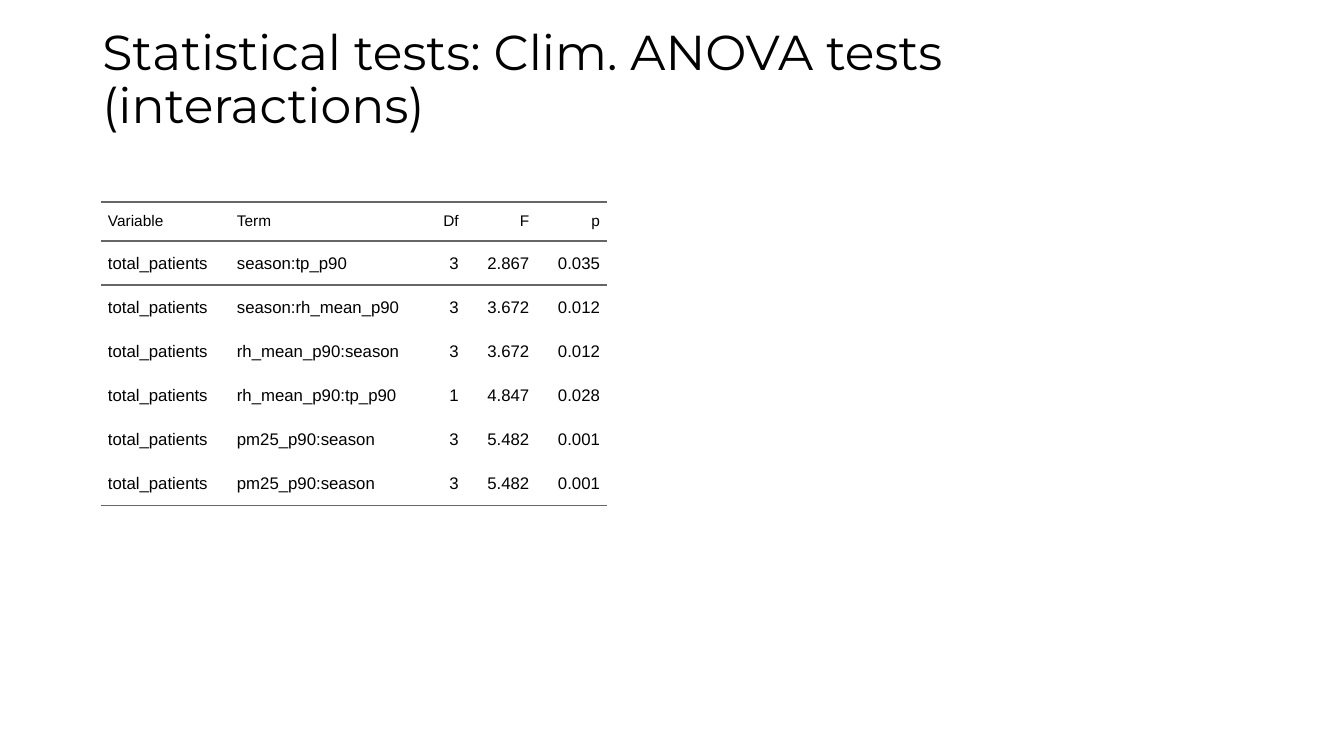
from lxml.etree import SubElement
from pptx import Presentation
from pptx.dml.color import RGBColor
from pptx.enum.text import MSO_ANCHOR as ANCHOR, PP_ALIGN as ALIGN
from pptx.oxml.ns import qn
from pptx.util import Cm, Pt

HEADER = ["Variable", "Term", "Df", "F", "p"]
TESTS = [
    ("season:tp_p90", "3", "2.867", "0.035"),
    ("season:rh_mean_p90", "3", "3.672", "0.012"),
    ("rh_mean_p90:season", "3", "3.672", "0.012"),
    ("rh_mean_p90:tp_p90", "1", "4.847", "0.028"),
    ("pm25_p90:season", "3", "5.482", "0.001"),
    ("pm25_p90:season", "3", "5.482", "0.001"),
]
COL_WIDTHS = [3.25, 4.83, 1.12, 1.78, 1.78]
HEADER_HEIGHT, ROW_HEIGHT = 1, 1.11
NO_STYLE = "{2D5ABB26-0587-4C30-8999-92F81FD0307C}"


def color(value):
    return RGBColor.from_string(value)


def set_format(target, values):
    for name, value in values.items():
        setattr(target, name, value)


class Deck:
    text_color = "000000"
    rule_color = "666666"
    title_font = {"name": "Montserrat", "size": Pt(35)}
    head_font = {"name": "Arial", "size": Pt(11)}
    body_font = {"name": "Arial", "size": Pt(12)}
    cell_format = {
        "margin_left": Cm(0.18),
        "margin_right": Cm(0.18),
        "margin_top": Cm(0.18),
        "margin_bottom": Cm(0.18),
        "vertical_anchor": ANCHOR.MIDDLE,
    }

    def __init__(self, width, height):
        self.prs = Presentation()
        set_format(self.prs, {"slide_width": Cm(width), "slide_height": Cm(height)})
        self.s = self.prs.slides.add_slide(self.prs.slide_layouts[6])

    def text(self, tf, words, font, **paragraph_format):
        p = tf.paragraphs[0]
        set_format(p, paragraph_format)
        r = p.add_run()
        r.text = words
        set_format(r.font, font)
        r.font.color.rgb = color(self.text_color)

    def title(self, words, left, top, width, height):
        sp = self.s.shapes.add_textbox(Cm(left), Cm(top), Cm(width), Cm(height))
        tf = sp.text_frame
        set_format(tf, {"word_wrap": True, "vertical_anchor": ANCHOR.MIDDLE})
        self.text(tf, words, self.title_font, line_spacing=0.9)

    def rule(self, cell, tag):
        ln = SubElement(cell._tc.get_or_add_tcPr(), qn(tag), w=str(Pt(1.5)))
        fill = SubElement(ln, qn("a:solidFill"))
        SubElement(fill, qn("a:srgbClr"), val=self.rule_color)

    def table(self, rows, left, top, widths, heights):
        frame = self.s.shapes.add_table(
            len(rows), len(widths), Cm(left), Cm(top), Cm(sum(widths)), Cm(sum(heights))
        )
        tbl = frame.table
        set_format(tbl, {"first_row": False, "horz_banding": False})
        tbl._tbl.tblPr.find(qn("a:tableStyleId")).text = NO_STYLE
        for column, width in zip(tbl.columns, widths):
            column.width = Cm(width)
        for row, height in zip(tbl.rows, heights):
            row.height = Cm(height)
        last = len(rows) - 1
        for i, values in enumerate(rows):
            for j, value in enumerate(values):
                cell = tbl.cell(i, j)
                set_format(cell, self.cell_format)
                font = self.body_font if i else self.head_font
                align = ALIGN.RIGHT if j > 1 else ALIGN.LEFT
                self.text(cell.text_frame, value, font, alignment=align)
                if i < 2:
                    self.rule(cell, "a:lnT")
                if i in (0, last):
                    self.rule(cell, "a:lnB")
                cell.fill.background()


def main():
    deck = Deck(33.87, 19.05)
    deck.title("Statistical tests: Clim. ANOVA tests (interactions)", 2.33, 1.01, 29.21, 2.06)
    rows = [HEADER] + [["total_patients", *test] for test in TESTS]
    heights = [HEADER_HEIGHT] + [ROW_HEIGHT] * len(TESTS)
    deck.table(rows, 2.54, 5.08, COL_WIDTHS, heights)
    deck.prs.save("out.pptx")


if __name__ == "__main__":
    main()
